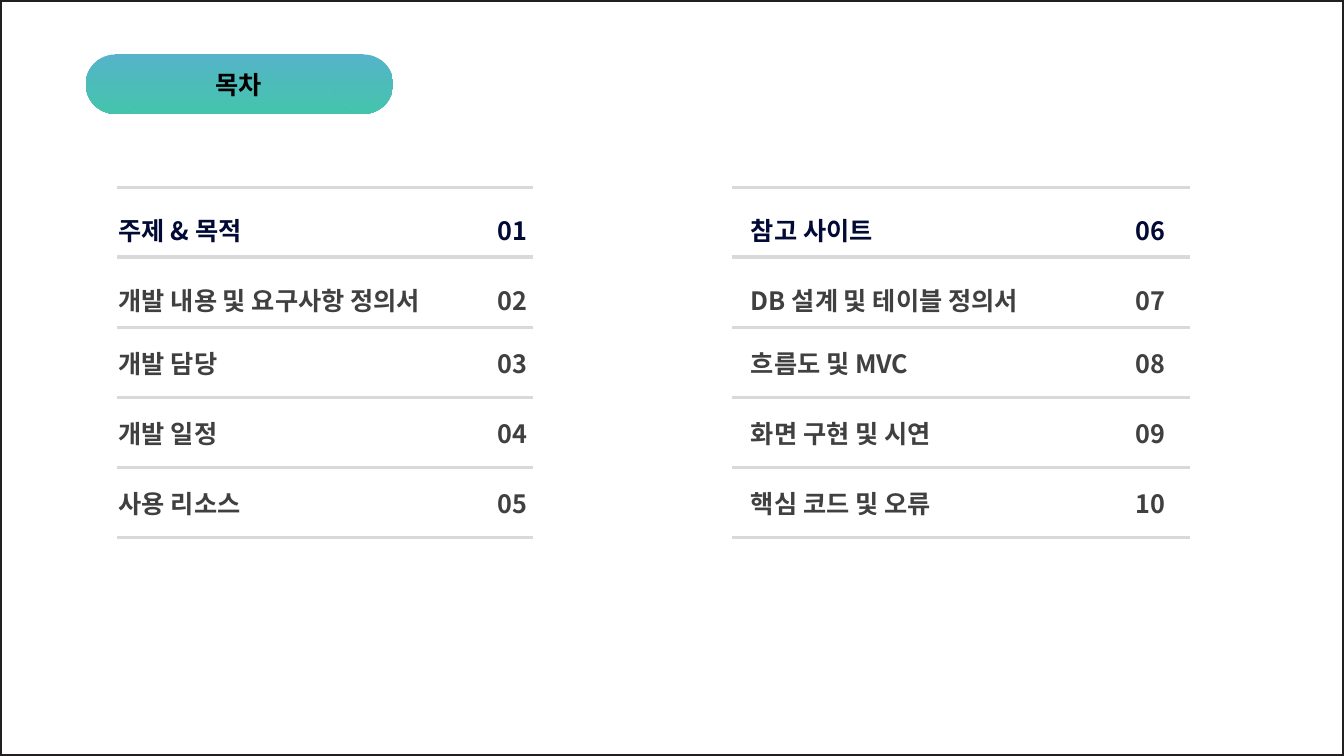
from dataclasses import dataclass

from lxml.etree import SubElement
from pptx import Presentation
from pptx.dml.color import RGBColor
from pptx.enum.shapes import MSO_CONNECTOR, MSO_SHAPE
from pptx.enum.text import MSO_ANCHOR, MSO_AUTO_SIZE, PP_ALIGN
from pptx.oxml.ns import qn
from pptx.util import Emu, Pt

PX = 9144  # 100 px to the inch
WIDTH, HEIGHT = 1333, 750
FONT = "Noto Sans CJK KR"
COLORS = {
    "pill_top": "55B4C8",
    "pill_bottom": "45C4AC",
    "title": "000000",
    "first": "000A34",
    "entry": "404040",
    "rule": "D9D9D9",
    "frame": "211F20",
}
RULE_TOP, RULE_STEP = 186, 69.4
TEXT_HEIGHT, NUMBER_WIDTH = 40, 51


@dataclass(frozen=True)
class Column:
    rule_left: int
    rule_right: int
    text_left: int
    number_left: int
    first_number: int
    entries: tuple[str, ...]


COLUMNS = (
    Column(116, 529, 108, 482, 1, (
        "주제 & 목적", "개발 내용 및 요구사항 정의서", "개발 담당", "개발 일정", "사용 리소스")),
    Column(726, 1180, 735, 1115, 6, (
        "참고 사이트", "DB 설계 및 테이블 정의서", "흐름도 및 MVC", "화면 구현 및 시연",
        "핵심 코드 및 오류")),
)


def px(n: int) -> Emu:
    return Emu(n * PX)


def rgb(name: str) -> RGBColor:
    return RGBColor.from_string(COLORS[name])


def style_text(p, color: str, align: PP_ALIGN) -> None:
    """Format a paragraph in bold, with the font for Korean too and no kerning."""
    p.alignment = align
    p.font.size = Pt(18)
    p.font.bold = True
    p.font.color.rgb = rgb(color)
    p.font.name = FONT
    properties = p._p.pPr.find(qn("a:defRPr"))
    properties.set("kern", "0")
    SubElement(properties, qn("a:ea"), typeface=FONT)


def fill_pill(sp) -> None:
    sp.fill.gradient()
    sp.fill.gradient_angle = 270
    for stop, position, name in zip(
            sp.fill.gradient_stops, (0, 1), ("pill_top", "pill_bottom")):
        stop.position = position
        stop.color.rgb = rgb(name)
    sp.line.fill.background()


def add_title(s) -> None:
    """Put the title on a pill: the placeholder is its middle, two circles its ends."""
    left, top, width, size = 114, 54, 246, 59
    title = s.shapes.title
    title.left, title.top, title.width, title.height = map(px, (left, top, width, size))
    fill_pill(title)
    tf = title.text_frame
    tf.text = "목차"
    tf.vertical_anchor = MSO_ANCHOR.MIDDLE
    style_text(tf.paragraphs[0], "title", PP_ALIGN.CENTER)
    for center in (left, left + width):
        end = s.shapes.add_shape(
            MSO_SHAPE.OVAL, px(center - size // 2), px(top), px(size), px(size))
        end.shadow.inherit = False
        fill_pill(end)


def add_text(s, text: str, left: int, top: int, width: int, color: str,
             align: PP_ALIGN = PP_ALIGN.LEFT) -> None:
    tf = s.shapes.add_textbox(px(left), px(top), px(width), px(TEXT_HEIGHT)).text_frame
    tf.word_wrap = False
    tf.auto_size = MSO_AUTO_SIZE.SHAPE_TO_FIT_TEXT
    tf.text = text
    style_text(tf.paragraphs[0], color, align)


def add_rule(s, left: int, right: int, y: int) -> None:
    rule = s.shapes.add_connector(
        MSO_CONNECTOR.STRAIGHT, px(left), px(y), px(right), px(y))
    rule.line.color.rgb = rgb("rule")
    rule.line.width = Pt(2.25)
    SubElement(rule._element.spPr, qn("a:effectLst"))


def add_column(s, column: Column) -> None:
    rules = [RULE_TOP + round(i * RULE_STEP) for i in range(len(column.entries) + 1)]
    for y in rules:
        add_rule(s, column.rule_left, column.rule_right, y)
    for row, entry in enumerate(column.entries):
        top = rules[row] + (23 if row < 2 else 16)
        color = "entry" if row else "first"
        add_text(s, entry, column.text_left, top,
                 column.number_left - column.text_left, color)
        add_text(s, f"{column.first_number + row:02}", column.number_left, top,
                 NUMBER_WIDTH, color, PP_ALIGN.RIGHT)


def add_frame(s) -> None:
    frame = s.shapes.add_shape(MSO_SHAPE.RECTANGLE, 0, 0, px(WIDTH), px(HEIGHT))
    frame.shadow.inherit = False
    frame.fill.background()
    frame.line.color.rgb = rgb("frame")
    frame.line.width = Pt(3)


def main() -> None:
    prs = Presentation()
    prs.slide_width, prs.slide_height = px(WIDTH), px(HEIGHT)
    s = prs.slides.add_slide(prs.slide_layouts.get_by_name("Title Only"))
    add_title(s)
    for column in COLUMNS:
        add_column(s, column)
    add_frame(s)
    prs.save("out.pptx")


if __name__ == "__main__":
    main()
